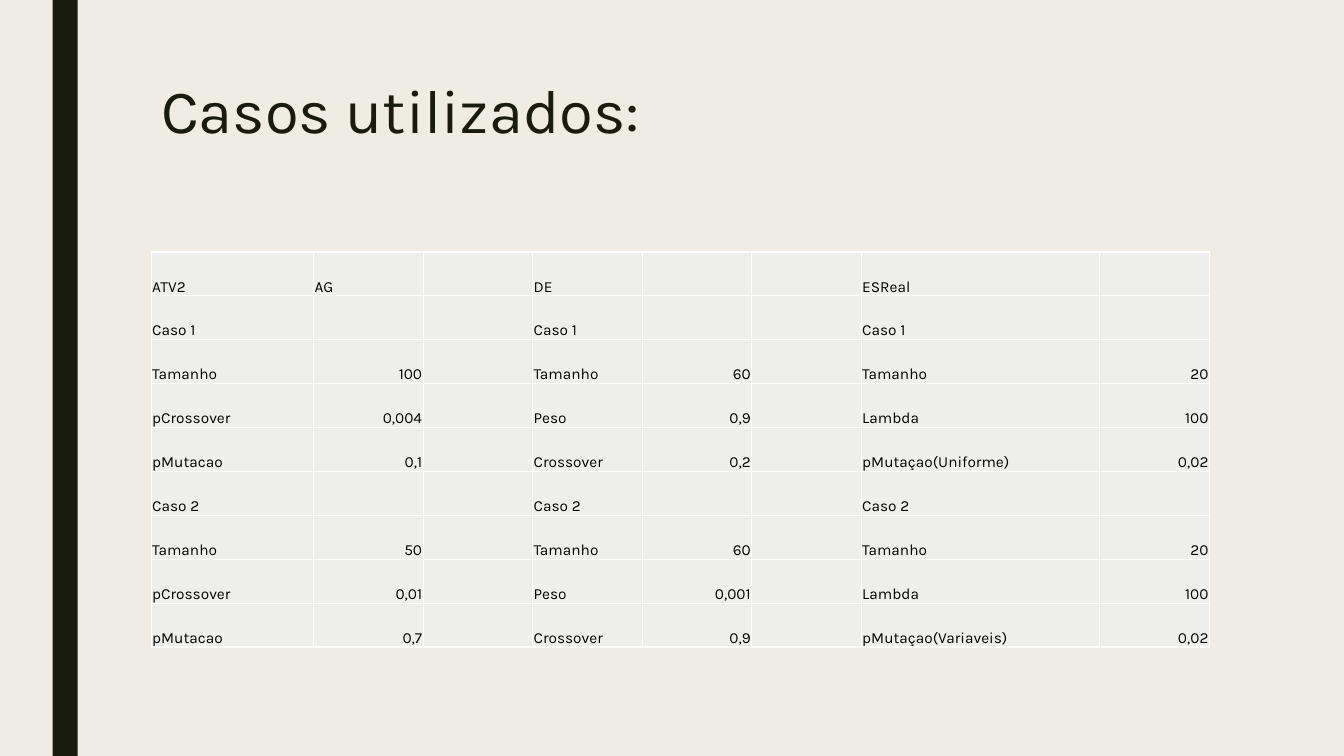
"""Build the slide listing the parameter cases used for each algorithm."""
from dataclasses import dataclass

from lxml.etree import SubElement
from pptx import Presentation
from pptx.dml.color import RGBColor as Rgb
from pptx.enum.shapes import MSO_SHAPE as Preset
from pptx.enum.text import MSO_ANCHOR as Anchor, PP_ALIGN as Align
from pptx.oxml.ns import qn
from pptx.util import Pt


@dataclass(frozen=True)
class Theme:
    font: str = "Karla"
    background: str = "EFEDE3"
    dark: str = "191B0E"
    cell: str = "EEEEED"
    border: str = "FFFFFF"
    body: str = "000000"
    title_size: int = 44
    body_size: int = 11


THEME = Theme()
HEADING = "Casos utilizados:"
CASES = [
    ("ATV2", "AG", "", "DE", "", "", "ESReal", ""),
    ("Caso 1", "", "", "Caso 1", "", "", "Caso 1", ""),
    ("Tamanho", "100", "", "Tamanho", "60", "", "Tamanho", "20"),
    ("pCrossover", "0,004", "", "Peso", "0,9", "", "Lambda", "100"),
    ("pMutacao", "0,1", "", "Crossover", "0,2", "", "pMutaçao(Uniforme)", "0,02"),
    ("Caso 2", "", "", "Caso 2", "", "", "Caso 2", ""),
    ("Tamanho", "50", "", "Tamanho", "60", "", "Tamanho", "20"),
    ("pCrossover", "0,01", "", "Peso", "0,001", "", "Lambda", "100"),
    ("pMutacao", "0,7", "", "Crossover", "0,9", "", "pMutaçao(Variaveis)", "0,02"),
]
LEFT, WIDTH = 108, 756
TABLE_TOP, ROW_HEIGHT = 180, 31.36
WIDE_COLUMNS = {0: 116, 6: 170.5}
COLUMN_COUNT = len(CASES[0])
NARROW = (WIDTH - sum(WIDE_COLUMNS.values())) / (COLUMN_COUNT - len(WIDE_COLUMNS))


def paint(fill, color):
    fill.solid()
    fill.fore_color.rgb = Rgb.from_string(color)


def write(paragraph, text, size, color):
    run = paragraph.add_run()
    run.text = text
    run.font.name = THEME.font
    run.font.size = Pt(size)
    run.font.color.rgb = Rgb.from_string(color)


def outline(cell):
    properties = cell._tc.get_or_add_tcPr()
    for position, side in enumerate(("lnL", "lnR", "lnT", "lnB")):
        line = SubElement(properties, qn(f"a:{side}"), w=str(Pt(1)))
        properties.insert(position, line)
        solid = SubElement(line, qn("a:solidFill"))
        SubElement(solid, qn("a:srgbClr"), val=THEME.border)


def fill_cell(cell, text):
    paint(cell.fill, THEME.cell)
    outline(cell)
    if not text:
        return
    cell.vertical_anchor = Anchor.BOTTOM
    cell.margin_left = cell.margin_right = cell.margin_top = Pt(0.7)
    cell.margin_bottom = 0
    paragraph = cell.text_frame.paragraphs[0]
    paragraph.alignment = Align.RIGHT if text[0].isdigit() else Align.LEFT
    write(paragraph, text, THEME.body_size, THEME.body)


deck = Presentation()
deck.slide_width, deck.slide_height = Pt(960), Pt(540)
slide = deck.slides.add_slide(deck.slide_layouts[6])
paint(slide.background.fill, THEME.background)

stripe = slide.shapes.add_shape(Preset.RECTANGLE, Pt(37.5), 0, Pt(18), Pt(540))
stripe.shadow.inherit = False
paint(stripe.fill, THEME.dark)
stripe.line.fill.background()

heading = slide.shapes.add_textbox(Pt(LEFT), Pt(54), Pt(WIDTH), Pt(116.64)).text_frame
heading.word_wrap = True
heading.vertical_anchor = Anchor.TOP
heading.paragraphs[0].line_spacing = 0.89
write(heading.paragraphs[0], HEADING, THEME.title_size, THEME.dark)

cases = slide.shapes.add_table(
    len(CASES), COLUMN_COUNT, Pt(LEFT), Pt(TABLE_TOP),
    Pt(WIDTH), Pt(ROW_HEIGHT * len(CASES)),
).table
cases.first_row = cases.horz_banding = False
for index, column in enumerate(cases.columns):
    column.width = Pt(WIDE_COLUMNS.get(index, NARROW))
for row, texts in zip(cases.rows, CASES):
    row.height = Pt(ROW_HEIGHT)
    for cell, text in zip(row.cells, texts):
        fill_cell(cell, text)

deck.save("out.pptx")
